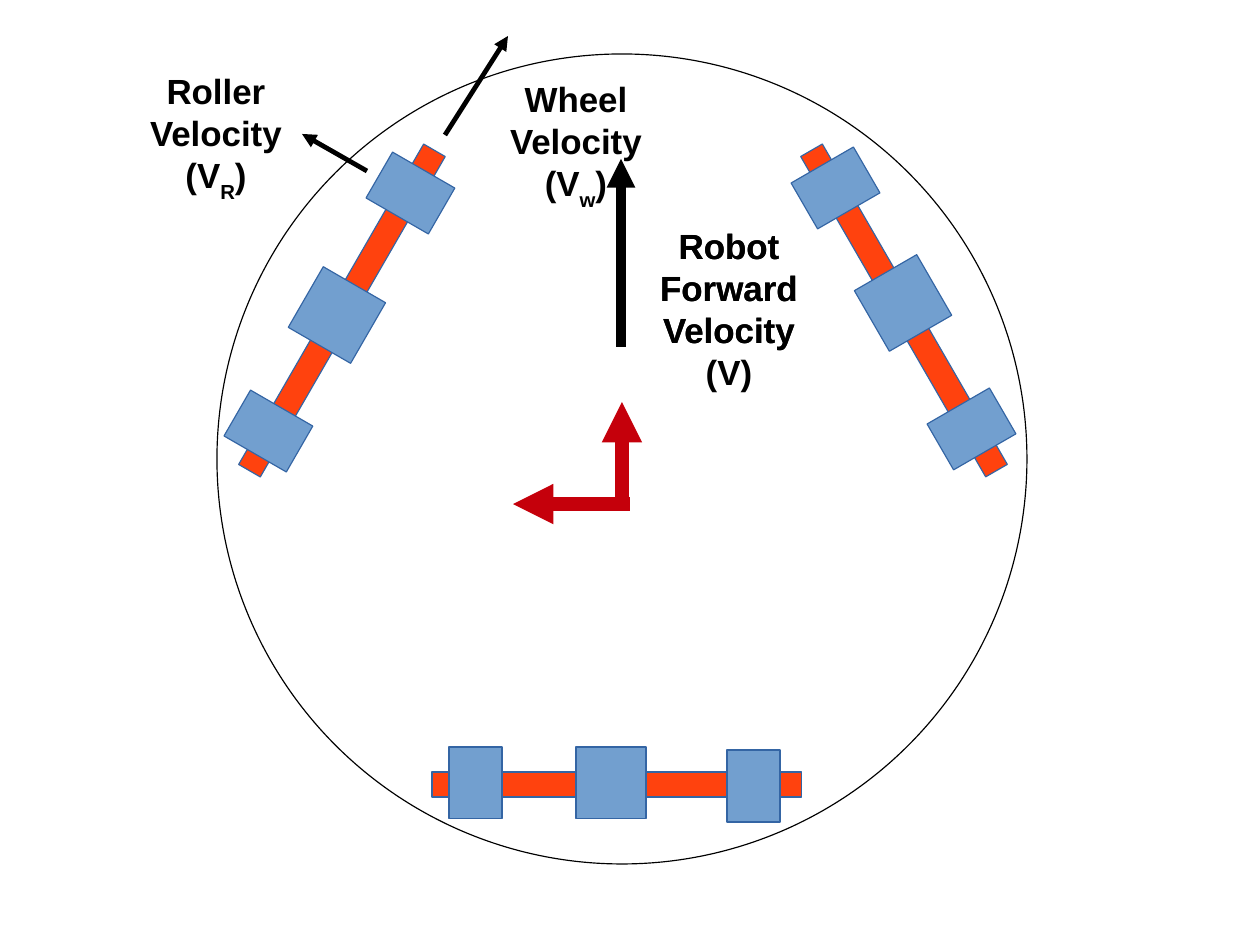
from lxml import etree
from pptx import Presentation
from pptx.dml.color import RGBColor
from pptx.enum.shapes import MSO_CONNECTOR as CONN, MSO_SHAPE as SHAPE
from pptx.enum.text import MSO_AUTO_SIZE as AUTO, PP_ALIGN as ALIGN
from pptx.oxml.ns import qn
from pptx.util import Pt

PX = 8000  # EMU; the slide is 28 by 21 cm
COLORS = {"axle": "FF420E", "roller": "729FCF", "edge": "3465A4",
          "black": "000000", "axes": "C5000B"}
AXLE = (370, 25)
MIDDLE, END = (70, 72), (53, 72)

# rotation, axle corner, middle roller corner, end roller corners
WHEELS = [
    (300, (157, 298), (302, 279), [(384, 157), (242, 395)]),
    (60, (719, 298), (868, 267), [(945, 393), (809, 152)]),
    (0, (432, 772), (576, 747), [(727, 750), (449, 747)]),
]

# start, end, width in points, colour
ARROWS = [
    ((445, 135), (508, 36), 3, "black"),
    ((367, 171), (302, 134), 3, "black"),
    ((621, 347), (621, 159), 6, "black"),
    ((622, 510), (622, 402), 8.5, "axes"),
    ((630, 504), (513, 504), 8.5, "axes"),
]

# box, paragraphs; each paragraph alternates normal and subscript runs
ROBOT = [["Robot Forward"], ["Velocity"]]
LABELS = [
    ((117, 64, 198, 137), [["Roller Velocity (V", "R", ")"]]),
    ((630, 219, 198, 128), ROBOT),
    ((630, 219, 198, 168), ROBOT + [["(V)"]]),
    ((477, 72, 198, 137), [["Wheel Velocity"], ["(V", "w", ")"]]),
]


def px(*values):
    return [v * PX for v in values]


def rgb(name):
    return RGBColor.from_string(COLORS[name])


def add_outline(slide, kind, corner, size, line, fill=None, rotation=0):
    """Add a hairline shape, hollow unless a fill is named."""
    sp = slide.shapes.add_shape(kind, *px(*corner, *size))
    sp.shadow.inherit = False
    sp.rotation = rotation
    if fill:
        sp.fill.solid()
        sp.fill.fore_color.rgb = rgb(fill)
    else:
        sp.fill.background()
    sp.line.color.rgb = rgb(line)
    sp.line.width = 0


def add_wheel(slide, rotation, axle, middle, ends):
    parts = [(axle, AXLE, "axle"), (middle, MIDDLE, "roller")]
    parts += [(end, END, "roller") for end in ends]
    for corner, size, fill in parts:
        add_outline(slide, SHAPE.RECTANGLE, corner, size, "edge", fill, rotation)


def add_arrow(slide, start, end, width, color):
    cxn = slide.shapes.add_connector(CONN.STRAIGHT, *px(*start, *end))
    cxn.line.color.rgb = rgb(color)
    cxn.line.width = Pt(width)
    sp_pr = cxn._element.spPr
    etree.SubElement(sp_pr.find(qn("a:ln")), qn("a:tailEnd"), type="triangle")
    etree.SubElement(sp_pr, qn("a:effectLst"))


def add_label(slide, box, paragraphs):
    tf = slide.shapes.add_textbox(*px(*box)).text_frame
    tf.word_wrap = True
    tf.auto_size = AUTO.SHAPE_TO_FIT_TEXT
    for i, runs in enumerate(paragraphs):
        p = tf.add_paragraph() if i else tf.paragraphs[0]
        p.alignment = ALIGN.CENTER
        p.font.name = "Arial"
        p.font.size = Pt(22)
        p.font.bold = True
        p.font.color.rgb = rgb("black")
        for j, text in enumerate(runs):
            r = p.add_run()
            r.text = text
            if j % 2:
                r._r.get_or_add_rPr().set("baseline", "-33000")


def main():
    prs = Presentation()
    prs.slide_width, prs.slide_height = px(1260, 945)
    slide = prs.slides.add_slide(prs.slide_layouts[6])
    for wheel in WHEELS:
        add_wheel(slide, *wheel)
    add_outline(slide, SHAPE.OVAL, (217, 54), (810, 810), "black")
    for arrow in ARROWS:
        add_arrow(slide, *arrow)
    for label in LABELS:
        add_label(slide, *label)
    prs.save("out.pptx")


if __name__ == "__main__":
    main()
